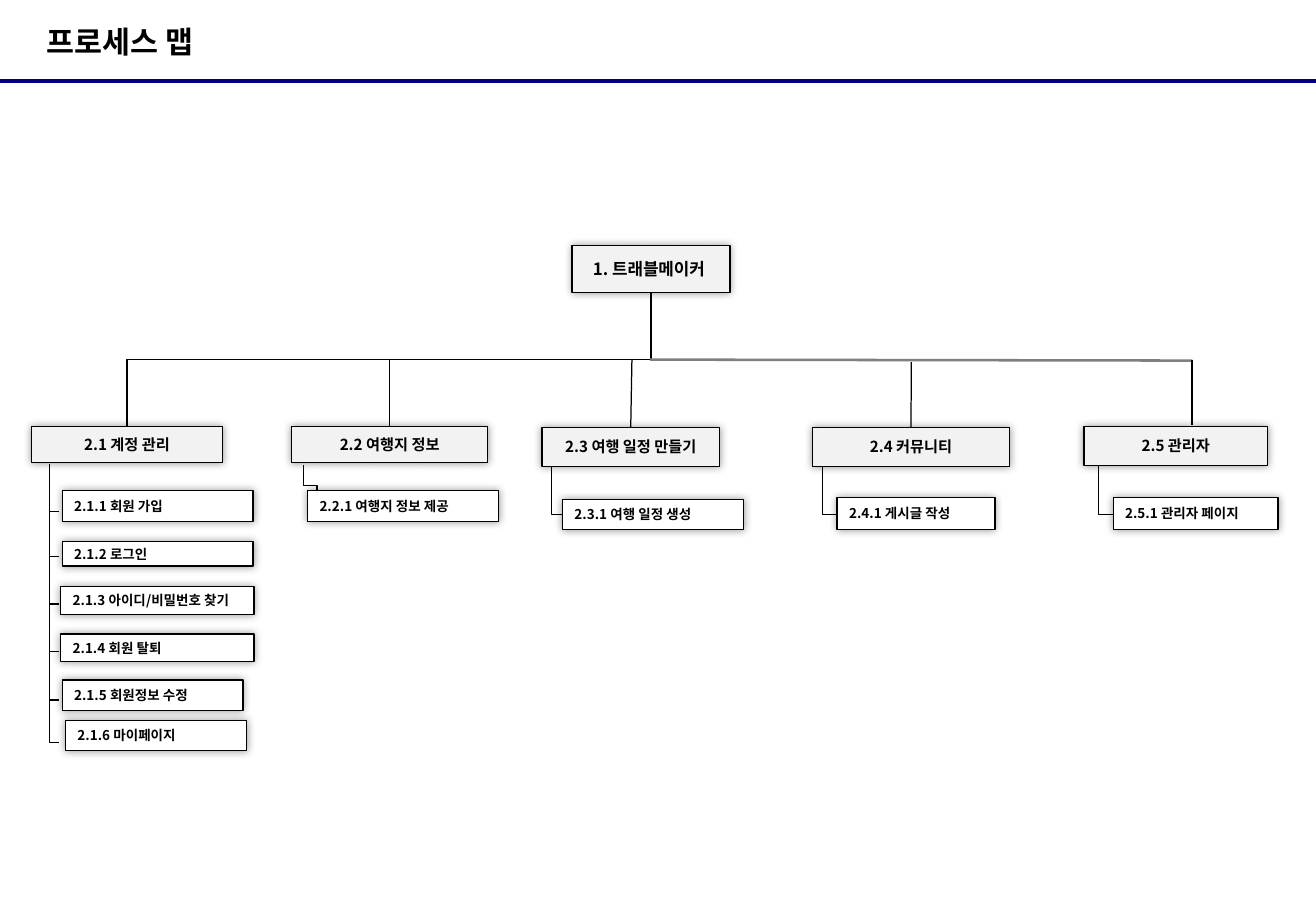
from dataclasses import dataclass
from lxml import etree
from pptx import Presentation, util as u
from pptx.dml.color import RGBColor
from pptx.enum import shapes, text
from pptx.oxml import parse_xml
from pptx.oxml.ns import nsdecls, qn

KOREAN = "Noto Sans CJK KR"
SHADOW = (
    f'<a:effectLst {nsdecls("a")}><a:outerShdw blurRad="63500" dist="0" dir="0" '
    'algn="ctr" rotWithShape="0"><a:srgbClr val="000000"><a:alpha val="40000"/>'
    '</a:srgbClr></a:outerShdw></a:effectLst>'
)


@dataclass(frozen=True)
class Box:
    label: str
    left: float
    top: float
    width: float
    height: float
    size: float = 8
    fill: str = "FFFFFF"
    align: text.PP_ALIGN = text.PP_ALIGN.LEFT
    insets: tuple[float, float] = (0.25, 0.25)


@dataclass(frozen=True)
class Line:
    x1: float
    y1: float
    x2: float
    y2: float
    color: str = "000000"
    weight: float = 0.75


def heading(label: str, left: float, top: float, width: float, height: float,
            size: float = 9, insets: tuple[float, float] = (0.25, 0.25)) -> Box:
    return Box(label, left, top, width, height, size, "F2F2F2",
               text.PP_ALIGN.CENTER, insets)


ROOT = heading(" 1. 트래블메이커", 11.96, 5.13, 3.3, 0.99, 10, (0.08, 0.25))
SECTIONS = [
    heading("2.1 계정 관리", 0.66, 8.92, 3.99, 0.76),
    heading("2.2 여행지 정보", 6.1, 8.92, 4.09, 0.76),
    heading("2.3 여행 일정 만들기", 11.33, 8.94, 3.71, 0.81),
    heading("2.4 커뮤니티", 16.99, 8.94, 4.11, 0.81),
    heading("2.5 관리자", 22.66, 8.92, 3.84, 0.81),
]
PROCESSES = [
    Box("2.1.1 회원 가입", 1.3, 10.26, 3.99, 0.64),
    Box("2.1.2 로그인", 1.3, 11.33, 3.99, 0.51),
    Box("2.1.3 아이디/비밀번호 찾기", 1.27, 12.27, 4.04, 0.58),
    Box("2.1.4 회원 탈퇴", 1.27, 13.26, 4.04, 0.58),
    Box("2.1.5 회원정보 수정", 1.3, 14.22, 3.78, 0.64),
    Box("2.1.6 마이페이지", 1.37, 15.06, 3.78, 0.64),
    Box("2.2.1 여행지 정보 제공", 6.43, 10.26, 3.99, 0.64),
    Box("2.3.1 여행 일정 생성", 11.76, 10.44, 3.78, 0.64),
    Box("2.4.1 게시글 작성", 17.5, 10.41, 3.3, 0.66),
    Box("2.5.1 관리자 페이지", 23.27, 10.41, 3.45, 0.66),
]
ACCOUNT_BRANCHES = [Line(1.03, y, 1.23, y + 1)
                    for y in (9.7, 10.64, 11.63, 12.62, 13.64, 14.53)]
OTHER_BRANCHES = [
    Line(11.53, 9.75, 11.76, 10.76),
    Line(17.2, 9.75, 17.5, 10.76),
    Line(22.96, 9.75, 23.27, 10.76),
]
INFO_BRANCH = Line(6.35, 9.73, 6.63, 10.59)
RULE = Line(0, 1.7, 27.51, 1.7, "000080", 2.25)
BUS = Line(13.59, 7.52, 24.92, 7.54, "7F7F7F", 1.5)
ADMIN_DROP = Line(24.92, 7.52, 24.92, 8.89)
DROPS = {2: Line(13.21, 7.52, 13.19, 8.94), 3: Line(19.05, 7.57, 19.05, 8.94)}


def rgb(value: str) -> RGBColor:
    return RGBColor.from_string(value)


def apply(target, values: dict) -> None:
    for name, value in values.items():
        setattr(target, name, value)


def write(tf, label: str, size: float, font: str, align, insets) -> None:
    left, right, vertical = insets
    apply(tf, {
        "word_wrap": True, "auto_size": text.MSO_AUTO_SIZE.NONE,
        "vertical_anchor": text.MSO_ANCHOR.MIDDLE,
        "margin_left": u.Cm(left), "margin_right": u.Cm(right),
        "margin_top": u.Cm(vertical), "margin_bottom": u.Cm(vertical),
    })
    p = tf.paragraphs[0]
    p.alignment = align
    r = p.add_run()
    r.text = label
    apply(r.font, {"name": font, "size": u.Pt(size), "bold": True})
    r.font.color.rgb = rgb("000000")
    ea = etree.SubElement(r.font._element, qn("a:ea"))
    ea.set("typeface", KOREAN)


def draw_box(s, box: Box):
    sp = s.shapes.add_shape(
        shapes.MSO_SHAPE.RECTANGLE, u.Cm(box.left), u.Cm(box.top),
        u.Cm(box.width), u.Cm(box.height))
    sp.fill.solid()
    sp.fill.fore_color.rgb = rgb(box.fill)
    sp.line.color.rgb = rgb("000000")
    sp.line.width = u.Pt(0.75)
    sp.element.spPr.append(parse_xml(SHADOW))
    write(sp.text_frame, box.label, box.size, KOREAN, box.align,
          (*box.insets, 0.13))
    return sp


def draw_line(s, line: Line, kind=shapes.MSO_CONNECTOR.STRAIGHT):
    c = s.shapes.add_connector(kind, u.Cm(line.x1), u.Cm(line.y1),
                               u.Cm(line.x2), u.Cm(line.y2))
    c.line.color.rgb = rgb(line.color)
    c.line.width = u.Pt(line.weight)
    etree.SubElement(c.element.spPr, qn("a:effectLst"))
    return c


def draw_elbow(s, line: Line, preset: str, ends=None) -> None:
    c = draw_line(s, line, shapes.MSO_CONNECTOR.ELBOW)
    if ends:
        c.begin_connect(ends[0], 2)
        c.end_connect(ends[1], 0)
    run, drop = abs(line.x2 - line.x1), line.y2 - line.y1
    apply(c, {
        "left": u.Cm((line.x1 + line.x2 - drop) / 2),
        "top": u.Cm((line.y1 + line.y2 - run) / 2),
        "width": u.Cm(drop), "height": u.Cm(run),
    })
    xfrm = c.element.spPr.find(qn("a:xfrm"))
    rightward = line.x2 > line.x1
    xfrm.set("rot", "16200000" if rightward else "5400000")
    xfrm.set("flipH", "1" if rightward else "0")
    c.element.spPr.find(qn("a:prstGeom")).set("prst", preset)


def main() -> None:
    prs = Presentation()
    apply(prs, {"slide_width": u.Cm(27.51), "slide_height": u.Cm(19.05)})
    s = prs.slides.add_slide(prs.slide_layouts[5])
    title = s.shapes.title
    apply(title, {"left": u.Cm(0.97), "top": u.Cm(0),
                  "width": u.Cm(17.98), "height": u.Cm(1.73)})
    write(title.text_frame, "프로세스 맵", 18, "Arial",
          text.PP_ALIGN.LEFT, (0, 0, 0))
    draw_line(s, RULE)

    root = draw_box(s, ROOT)
    sections = [draw_box(s, box) for box in SECTIONS]
    for box, sp in zip(SECTIONS[:2], sections):
        trunk = Line(ROOT.left + ROOT.width / 2, ROOT.top + ROOT.height,
                     box.left + box.width / 2, box.top)
        draw_elbow(s, trunk, "bentConnector3", (root, sp))
    for line in (BUS, ADMIN_DROP):
        draw_line(s, line)
    for index, line in DROPS.items():
        draw_line(s, line).end_connect(sections[index], 0)

    for line in ACCOUNT_BRANCHES + OTHER_BRANCHES:
        draw_elbow(s, line, "bentConnector2")
    draw_elbow(s, INFO_BRANCH, "bentConnector3")
    for box in PROCESSES:
        draw_box(s, box)
    prs.save("out.pptx")


if __name__ == "__main__":
    main()
